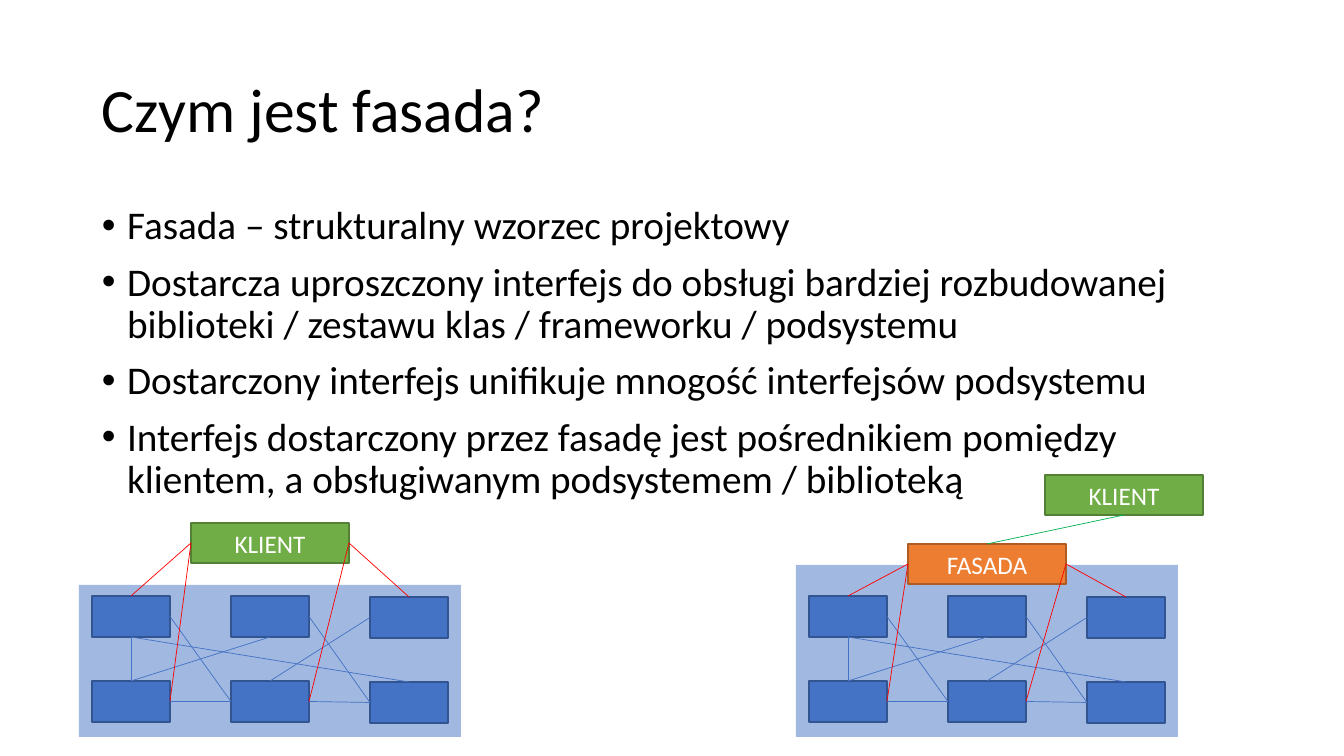
from lxml import etree
from pptx import Presentation
from pptx import util as u
from pptx.dml.color import RGBColor
from pptx.enum import shapes as kinds, text as txt
from pptx.oxml.ns import qn

# Content
TITLE = "Czym jest fasada?"
POINTS = [
    "Fasada – strukturalny wzorzec projektowy",
    "Dostarcza uproszczony interfejs do obsługi bardziej rozbudowanej "
    "biblioteki / zestawu klas / frameworku / podsystemu",
    "Dostarczony interfejs unifikuje mnogość interfejsów podsystemu",
    "Interfejs dostarczony przez fasadę jest pośrednikiem pomiędzy "
    "klientem, a obsługiwanym podsystemem / biblioteką",
]

BLACK = RGBColor(0x00, 0x00, 0x00)
WHITE = RGBColor(0xFF, 0xFF, 0xFF)
BLUE = RGBColor(0x44, 0x72, 0xC4)
DARK_BLUE = RGBColor(0x32, 0x54, 0x91)
GREEN = RGBColor(0x70, 0xAD, 0x47)
DARK_GREEN = RGBColor(0x53, 0x80, 0x35)
ORANGE = RGBColor(0xED, 0x7D, 0x31)
DARK_ORANGE = RGBColor(0xAF, 0x5C, 0x24)
RED = RGBColor(0xFF, 0x00, 0x00)
LINK_GREEN = RGBColor(0x00, 0xB0, 0x50)

CLIENT = ("KLIENT", GREEN, DARK_GREEN)
FACADE = ("FASADA", ORANGE, DARK_ORANGE)

# Each diagram: left edge, panel top, entry box with its top, outside client
DIAGRAMS = [
    dict(left=79, panel_top=585, entry=CLIENT, entry_top=523, client_at=None),
    dict(left=796, panel_top=565, entry=FACADE, entry_top=544, client_at=(1045, 475)),
]

# Connection sites of a rectangle
TOP, LEFT, BOTTOM, RIGHT = range(4)

# Classes are (column, row); a link joins a site of one to a site of another
CLASS_LINKS = [
    ((0, 0), RIGHT, (1, 1), LEFT),
    ((0, 0), BOTTOM, (0, 1), TOP),
    ((0, 1), RIGHT, (1, 1), LEFT),
    ((1, 0), BOTTOM, (0, 1), TOP),
    ((1, 1), TOP, (2, 0), LEFT),
    ((1, 0), RIGHT, (2, 1), LEFT),
    ((1, 1), RIGHT, (2, 1), LEFT),
    ((2, 1), TOP, (0, 0), BOTTOM),
]
ENTRY_LINKS = [
    (LEFT, (0, 1), RIGHT),
    (LEFT, (0, 0), TOP),
    (RIGHT, (1, 1), RIGHT),
    (RIGHT, (2, 0), TOP),
]

# Geometry in pixels
PX = 914400 / 100.8
PANEL_W, PANEL_BOTTOM = 382, 737
CLASS_W, CLASS_H = 78, 41
CLASS_INSET, CLASS_TOP = 13, 596
COLUMN_STEP, ROW_STEP = 139, 85
BOX_W, BOX_H, ENTRY_INSET = 158, 40, 112


def emu(*pixels):
    return [round(p * PX) for p in pixels]


def write(paragraph, words, size, color, **layout):
    for name, value in layout.items():
        setattr(paragraph, name, value)
    run = paragraph.add_run()
    run.text = words
    run.font.color.rgb = color
    for name, value in dict(name="Calibri", size=u.Pt(size)).items():
        setattr(run.font, name, value)


def text_area(box, anchor):
    frame = slide.shapes.add_textbox(*emu(*box)).text_frame
    frame.word_wrap = True
    frame.vertical_anchor = anchor
    return frame


def rectangle(group, box, fill, outline=None):
    rect = group.shapes.add_shape(kinds.MSO_SHAPE.RECTANGLE, *emu(*box))
    rect.shadow.inherit = False
    rect.fill.solid()
    rect.fill.fore_color.rgb = fill
    if outline is None:
        rect.line.fill.background()
    else:
        rect.line.color.rgb = outline
        rect.line.width = u.Pt(1)
    return rect


def labelled_box(group, left, top, role):
    label, fill, outline = role
    box = rectangle(group, (left, top, BOX_W, BOX_H), fill, outline)
    box.text_frame.vertical_anchor = txt.MSO_ANCHOR.MIDDLE
    write(box.text_frame.paragraphs[0], label, 18, WHITE, alignment=txt.PP_ALIGN.CENTER)
    return box


def site_point(rect, site):
    dx, dy = {TOP: (1, 0), LEFT: (0, 1), BOTTOM: (1, 2), RIGHT: (2, 1)}[site]
    return rect.left + rect.width * dx // 2, rect.top + rect.height * dy // 2


def link(group, start, start_site, end, end_site, color):
    line = group.shapes.add_connector(
        kinds.MSO_CONNECTOR.STRAIGHT,
        *site_point(start, start_site), *site_point(end, end_site))
    line.begin_connect(start, start_site)
    line.end_connect(end, end_site)
    line.line.color.rgb = color
    line.line.width = u.Pt(0.5)
    etree.SubElement(line.element.spPr, qn("a:effectLst"))


def draw_diagram(left, panel_top, entry, entry_top, client_at):
    group = slide.shapes.add_group_shape()

    # Half-transparent subsystem panel
    panel = rectangle(group, (left, panel_top, PANEL_W, PANEL_BOTTOM - panel_top), BLUE)
    tint = panel.element.spPr.find(qn("a:solidFill"))[0]
    etree.SubElement(tint, qn("a:alpha"), val="50000")

    # Classes; the last column sits one pixel lower
    classes = {}
    for column in range(3):
        for row in range(2):
            x = left + CLASS_INSET + column * COLUMN_STEP
            y = CLASS_TOP + row * ROW_STEP + column // 2
            classes[column, row] = rectangle(
                group, (x, y, CLASS_W, CLASS_H), BLUE, DARK_BLUE)
    for start, start_site, end, end_site in CLASS_LINKS:
        link(group, classes[start], start_site, classes[end], end_site, BLUE)

    # Entry box and its links
    entry_box = labelled_box(group, left + ENTRY_INSET, entry_top, entry)
    for entry_site, target, target_site in ENTRY_LINKS:
        link(group, entry_box, entry_site, classes[target], target_site, RED)

    # Client outside the subsystem
    if client_at:
        client = labelled_box(group, *client_at, CLIENT)
        link(group, entry_box, TOP, client, BOTTOM, LINK_GREEN)


presentation = Presentation()
presentation.slide_width, presentation.slide_height = emu(1344, 756)
slide = presentation.slides.add_slide(presentation.slide_layouts[6])

# Title
heading = text_area((92, 40, 1159, 146), txt.MSO_ANCHOR.MIDDLE)
write(heading.paragraphs[0], TITLE, 44, BLACK, line_spacing=0.9)

# Bulleted points
body = text_area((92, 201, 1159, 480), txt.MSO_ANCHOR.TOP)
for index, point in enumerate(POINTS):
    paragraph = body.add_paragraph() if index else body.paragraphs[0]
    write(paragraph, point, 28, BLACK, line_spacing=0.9, space_before=u.Pt(10))
    properties = paragraph._p.get_or_add_pPr()
    properties.set("marL", str(u.Inches(0.25)))
    properties.set("indent", str(-u.Inches(0.25)))
    etree.SubElement(properties, qn("a:buFont"), typeface="Arial")
    etree.SubElement(properties, qn("a:buChar"), char="•")

# Diagrams without and with the facade
for diagram in DIAGRAMS:
    draw_diagram(**diagram)

presentation.save("out.pptx")
